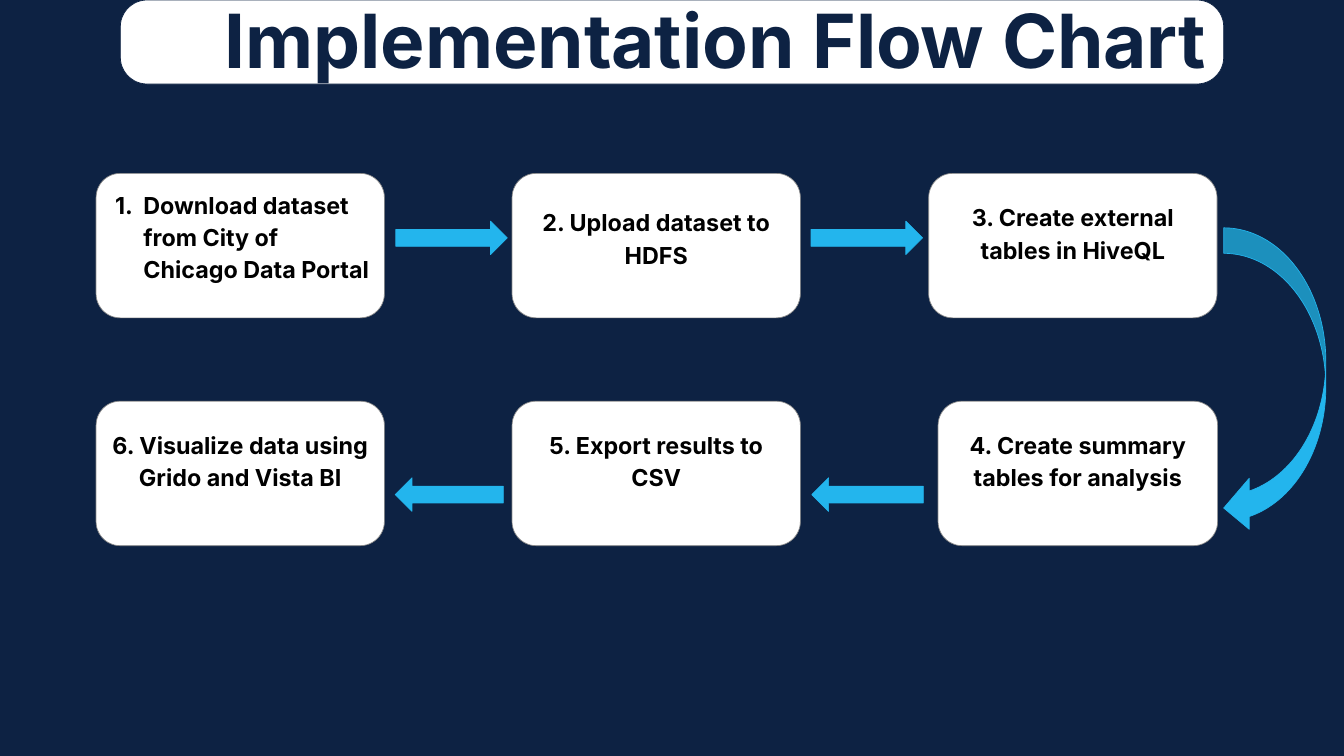
from lxml import etree
from pptx import Presentation
from pptx.dml.color import RGBColor
from pptx.enum.shapes import MSO_SHAPE
from pptx.enum.text import MSO_ANCHOR, MSO_AUTO_SIZE, PP_ALIGN
from pptx.oxml.ns import qn
from pptx.util import Inches, Pt

NAVY = RGBColor(0x0D, 0x22, 0x43)
WHITE = RGBColor(0xFF, 0xFF, 0xFF)
BLACK = RGBColor(0x00, 0x00, 0x00)
GREY = RGBColor(0x88, 0x88, 0x88)
CYAN = RGBColor(0x23, 0xB5, 0xED)

ROUNDED = MSO_SHAPE.ROUNDED_RECTANGLE
ARROW = MSO_SHAPE.RIGHT_ARROW
CURVED_ARROW = MSO_SHAPE.CURVED_LEFT_ARROW
LEFT, CENTER = PP_ALIGN.LEFT, PP_ALIGN.CENTER
TOP, MIDDLE = MSO_ANCHOR.TOP, MSO_ANCHOR.MIDDLE
NO_AUTOFIT = MSO_AUTO_SIZE.NONE

FONT = "Inter"
BOX_HEIGHT = 2.15
TOP_ROW, BOTTOM_ROW = 2.58, 5.97
# Text, left, top, width, space under the text
STEPS = [
    ("Download dataset from City of Chicago Data Portal", 1.43, TOP_ROW, 4.29, 0.42),
    ("2. Upload dataset to HDFS", 7.62, TOP_ROW, 4.29, 0.37),
    ("3. Create external tables in HiveQL", 13.82, TOP_ROW, 4.29, 0.52),
    ("4. Create summary tables for analysis", 13.96, BOTTOM_ROW, 4.16, 0.52),
    ("5. Export results to CSV", 7.62, BOTTOM_ROW, 4.29, 0.52),
    ("6. Visualize data using Grido and Vista BI", 1.43, BOTTOM_ROW, 4.29, 0.52),
]
# Left, top, width, rotation
ARROWS = [
    (5.89, 3.29, 1.66, 0),
    (12.07, 3.29, 1.66, 0),
    (12.08, 7.11, 1.66, 180),
    (5.88, 7.11, 1.61, 180),
]


def add_block(slide, preset, box, fill, line):
    """Add a filled preset shape in box (left, top, width, height)."""
    shape = slide.shapes.add_shape(preset, *map(Inches, box))
    shape.shadow.inherit = False
    shape.fill.solid()
    shape.fill.fore_color.rgb = fill
    shape.line.color.rgb = line
    shape.line.width = Pt(0.75)
    return shape


def write_text(shape, text, size, color, align=CENTER, anchor=MIDDLE,
               spacing=1.0, inset=0.1, bottom=0.1, numbered=False):
    frame = shape.text_frame
    frame.word_wrap = True
    frame.auto_size = NO_AUTOFIT
    frame.vertical_anchor = anchor
    frame.margin_left = frame.margin_right = frame.margin_top = Inches(inset)
    frame.margin_bottom = Inches(bottom)
    paragraph = frame.paragraphs[0]
    if numbered:
        properties = paragraph._p.get_or_add_pPr()
        properties.set("marL", str(Inches(0.5)))
        properties.set("indent", str(Inches(-0.42)))
        etree.SubElement(properties, qn("a:buAutoNum"), type="arabicPeriod")
    paragraph.alignment = align
    paragraph.line_spacing = spacing
    run = paragraph.add_run()
    run.text = text
    run.font.name = FONT
    run.font.size = Pt(size)
    run.font.bold = True
    run.font.color.rgb = color


def add_title(slide, box):
    left, top, width, height = box
    banner = add_block(slide, ROUNDED, box, WHITE, NAVY)
    banner.adjustments[0] = 0.32
    title = slide.shapes.title
    title.left, title.top = Inches(left + 1.55), Inches(top - 0.09)
    title.width, title.height = Inches(width - 1.64), Inches(height + 0.1)
    write_text(title, "Implementation Flow Chart", 80, NAVY, align=LEFT,
               anchor=TOP, inset=0, bottom=0)
    title.element.addprevious(banner.element)


def add_step(slide, text, box, bottom, numbered):
    step = add_block(slide, ROUNDED, box, WHITE, GREY)
    step.adjustments[0] = 0.167
    write_text(step, text, 25, BLACK, align=LEFT if numbered else CENTER,
               spacing=1.15, bottom=bottom, numbered=numbered)


def add_arrow(slide, box, rotation):
    arrow = add_block(slide, ARROW, box, CYAN, CYAN)
    arrow.rotation = rotation


def main():
    presentation = Presentation()
    presentation.slide_width = Inches(20)
    presentation.slide_height = Inches(11.25)
    slide = presentation.slides.add_slide(presentation.slide_layouts[5])
    slide.background.fill.solid()
    slide.background.fill.fore_color.rgb = NAVY

    add_title(slide, (1.79, 0, 16.42, 1.25))
    for index, (text, left, top, width, bottom) in enumerate(STEPS):
        add_step(slide, text, (left, top, width, BOX_HEIGHT), bottom,
                 numbered=index == 0)
    for left, top, width, rotation in ARROWS:
        add_arrow(slide, (left, top, width, 0.5), rotation)
    add_block(slide, CURVED_ARROW, (18.21, 3.39, 1.52, 4.55), CYAN, CYAN)

    presentation.save("out.pptx")


if __name__ == "__main__":
    main()
